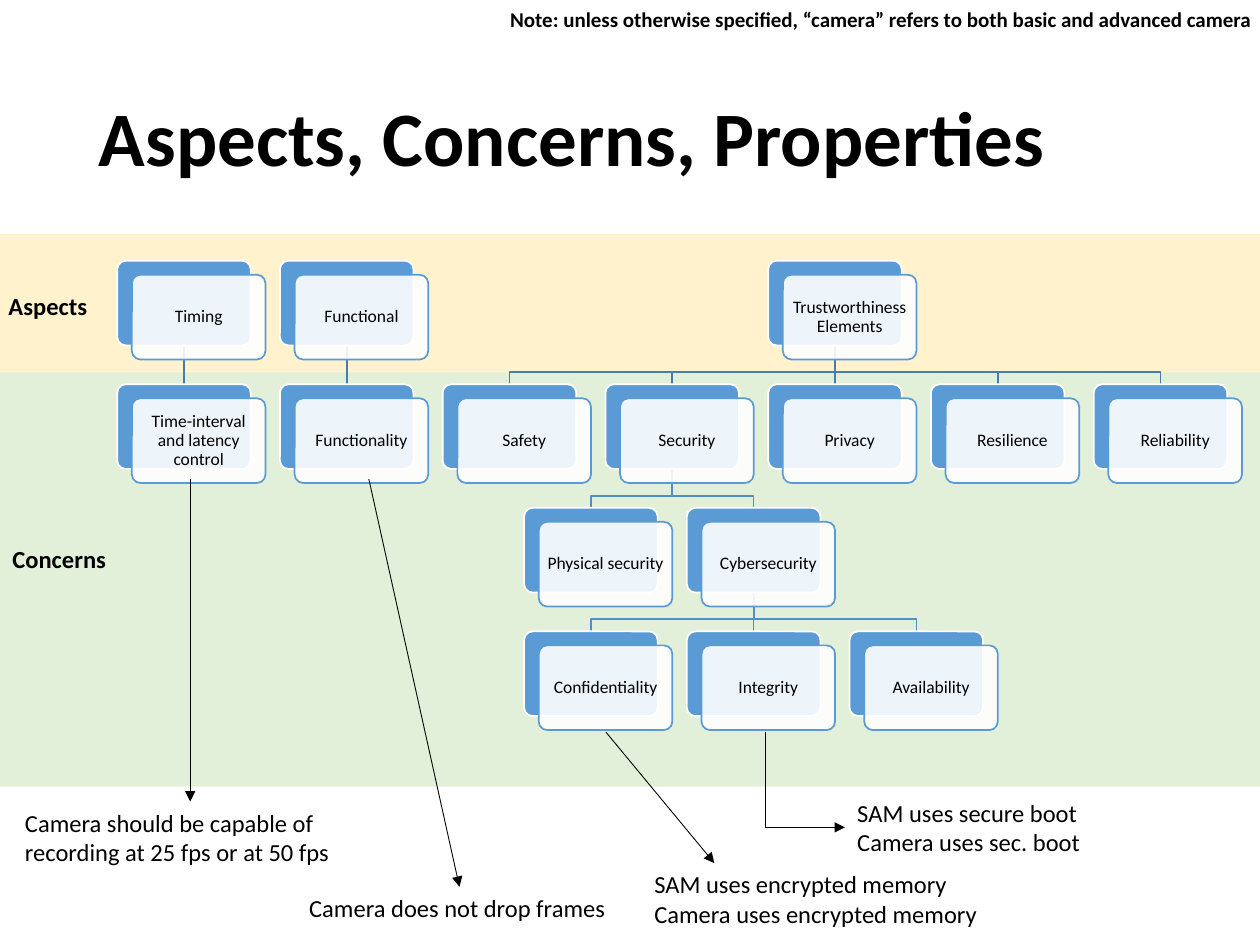
from dataclasses import dataclass

from lxml.etree import SubElement
from pptx import Presentation
from pptx.dml.color import RGBColor
from pptx.enum.shapes import MSO_CONNECTOR, MSO_SHAPE
from pptx.enum.text import MSO_ANCHOR, PP_ALIGN
from pptx.oxml.ns import qn
from pptx.util import Pt


@dataclass(frozen=True)
class Theme:
    font: str = "Calibri"
    text: str = "000000"
    white: str = "FFFFFF"
    accent: str = "5B9BD5"
    upper_link: str = "497CAB"
    lower_link: str = "538DC1"
    aspects: str = "FFF2CC"
    concerns: str = "E2F0D9"
    title_size: float = 44
    body_size: float = 14
    note_size: float = 12
    card_size: float = 10


THEME = Theme()

COLUMN_STEP, ROW_STEP = 93, 70.6
CARD_WIDTH, CARD_HEIGHT = 76.3, 48.4
CARD_SHIFT = (8.4, 8)
LINK_DROP = 15.3

CARDS = {
    "Timing": (0, 0, None),
    "Functional": (1, 0, None),
    "Trustworthiness Elements": (4, 0, None),
    "Time-interval and latency control": (0, 1, "Timing"),
    "Functionality": (1, 1, "Functional"),
    "Safety": (2, 1, "Trustworthiness Elements"),
    "Security": (3, 1, "Trustworthiness Elements"),
    "Privacy": (4, 1, "Trustworthiness Elements"),
    "Resilience": (5, 1, "Trustworthiness Elements"),
    "Reliability": (6, 1, "Trustworthiness Elements"),
    "Physical security": (2.5, 2, "Security"),
    "Cybersecurity": (3.5, 2, "Security"),
    "Confidentiality": (2.5, 3, "Cybersecurity"),
    "Integrity": (3.5, 3, "Cybersecurity"),
    "Availability": (4.5, 3, "Cybersecurity"),
}


def color(value):
    return RGBColor.from_string(value)


def write_lines(frame, lines, size, bold=False, align=PP_ALIGN.LEFT, spacing=None):
    for index, line in enumerate(lines):
        paragraph = frame.paragraphs[0] if index == 0 else frame.add_paragraph()
        paragraph.alignment = align
        if spacing:
            paragraph.line_spacing = spacing
        run = paragraph.add_run()
        run.text = line
        run.font.name = THEME.font
        run.font.size = Pt(size)
        run.font.bold = bold
        run.font.color.rgb = color(THEME.text)


def add_text(slide, box, lines, size, bold=False, wrap=True, spacing=None):
    frame = slide.shapes.add_textbox(*map(Pt, box)).text_frame
    frame.word_wrap = wrap
    write_lines(frame, lines, size, bold, spacing=spacing)
    return frame


def add_panel(slide, kind, box, fill, line=None):
    shape = slide.shapes.add_shape(kind, *map(Pt, box))
    shape.shadow.inherit = False
    shape.fill.solid()
    shape.fill.fore_color.rgb = color(fill)
    if line:
        shape.adjustments[0] = 0.1
        shape.line.color.rgb = color(line)
        shape.line.width = Pt(1)
    else:
        shape.line.fill.background()
    return shape


def add_line(slide, start, end, line, width, kind=MSO_CONNECTOR.STRAIGHT):
    connector = slide.shapes.add_connector(kind, *map(Pt, (*start, *end)))
    connector.line.color.rgb = color(line)
    connector.line.width = Pt(width)
    SubElement(connector._element.spPr, qn("a:effectLst"))
    return connector


def add_arrow(slide, start, end, kind=MSO_CONNECTOR.STRAIGHT):
    connector = add_line(slide, start, end, THEME.text, 0.5, kind)
    SubElement(connector.line._get_or_add_ln(), qn("a:tailEnd"), type="triangle")
    return connector


def add_corner_arrow(slide, start, end):
    connector = add_arrow(slide, start, end, MSO_CONNECTOR.ELBOW)
    width, height = end[0] - start[0], end[1] - start[1]
    connector.left = Pt(start[0] + (width - height) / 2)
    connector.top = Pt(start[1] + (height - width) / 2)
    connector.width, connector.height = Pt(height), Pt(width)
    properties = connector._element.spPr
    frame = properties.find(qn("a:xfrm"))
    frame.set("rot", str(270 * 60000))
    frame.set("flipH", "1")
    properties.find(qn("a:prstGeom")).set("prst", "bentConnector2")


def add_link(slide, start, end, line):
    if start[0] == end[0]:
        add_line(slide, start, end, line, 1)
        return
    bend = start[1] + LINK_DROP
    points = [(start[0], bend), (end[0], bend), end]
    builder = slide.shapes.build_freeform(Pt(start[0]), Pt(start[1]))
    builder.add_line_segments([(Pt(x), Pt(y)) for x, y in points], close=False)
    shape = builder.convert_to_shape()
    shape.shadow.inherit = False
    shape.fill.background()
    shape.line.color.rgb = color(line)
    shape.line.width = Pt(1)


def add_card(slide, left, top, label):
    size = (CARD_WIDTH, CARD_HEIGHT)
    add_panel(slide, MSO_SHAPE.ROUNDED_RECTANGLE, (left, top, *size), THEME.accent, THEME.white)
    front_box = (left + CARD_SHIFT[0], top + CARD_SHIFT[1], *size)
    front = add_panel(slide, MSO_SHAPE.ROUNDED_RECTANGLE, front_box, THEME.white, THEME.accent)
    fill = front._element.spPr.find(qn("a:solidFill"))
    SubElement(fill[0], qn("a:alpha"), val="90000")
    frame = front.text_frame
    frame.word_wrap = True
    frame.vertical_anchor = MSO_ANCHOR.MIDDLE
    frame.margin_left = frame.margin_right = Pt(2.9)
    frame.margin_top = frame.margin_bottom = Pt(2.9)
    write_lines(frame, [label], THEME.card_size, align=PP_ALIGN.CENTER, spacing=0.9)


def add_tree(slide, left, top):
    corners = {
        label: (left + column * COLUMN_STEP, top + row * ROW_STEP)
        for label, (column, row, _) in CARDS.items()
    }
    for label, (_, row, parent) in CARDS.items():
        if parent:
            parent_left, parent_top = corners[parent]
            child_left, child_top = corners[label]
            start = (parent_left + CARD_WIDTH / 2, parent_top + CARD_HEIGHT)
            end = (child_left + CARD_WIDTH / 2, child_top)
            add_link(slide, start, end, THEME.upper_link if row == 1 else THEME.lower_link)
    for label, corner in corners.items():
        add_card(slide, *corner, label)


def add_band(slide, box, fill, label, label_left, label_top, label_width):
    add_panel(slide, MSO_SHAPE.RECTANGLE, box, fill)
    label_box = (box[0] + label_left, box[1] + label_top, label_width, 24.2)
    add_text(slide, label_box, [label], THEME.body_size, bold=True, wrap=False)


def add_header(slide, left, top):
    title = add_text(slide, (left + 49.5, top + 28.8, 621, 104.4),
                     ["Aspects, Concerns, Properties"], THEME.title_size, bold=True, spacing=0.9)
    title.vertical_anchor = MSO_ANCHOR.MIDDLE
    add_text(slide, (left + 284.4, top, 440.6, 21.8),
             ["Note: unless otherwise specified, “camera” refers to both basic and advanced camera"],
             THEME.note_size, bold=True)


def add_examples(slide, left, top):
    examples = [
        ((7.2, 184.2, 203.8, 41.2), ["Camera should be capable of recording at 25 fps or at 50 fps"]),
        ((169.6, 233, 186, 24.2), ["Camera does not drop frames"]),
        ((366.8, 219.4, 203.8, 41.2), ["SAM uses encrypted memory", "Camera uses encrypted memory"]),
        ((482.8, 178.4, 247, 41.2), ["SAM uses secure boot", "Camera uses sec. boot"]),
    ]
    for (x, y, width, height), lines in examples:
        add_text(slide, (left + x, top + y, width, height), lines, THEME.body_size)
    arrows = [((108.7, 0), (108.7, 184.2)), ((210.8, 0), (262.6, 233)), ((346.3, 144.6), (408.2, 219.4))]
    for start, end in arrows:
        add_arrow(slide, (left + start[0], top + start[1]), (left + end[0], top + end[1]))
    add_corner_arrow(slide, (left + 437.2, top + 144.6), (left + 482.8, top + 199))


def main():
    presentation = Presentation()
    presentation.slide_width, presentation.slide_height = Pt(720), Pt(540)
    slide = presentation.slides.add_slide(presentation.slide_layouts[6])
    add_band(slide, (0, 212.6, 720, 236.9), THEME.concerns, "Concerns", 0, 95, 68.4)
    add_band(slide, (0, 133.8, 720, 79), THEME.aspects, "Aspects", -2.2, 29, 59.8)
    add_tree(slide, 67, 149)
    add_header(slide, 0, 0)
    add_examples(slide, 0, 273.8)
    presentation.save("out.pptx")


if __name__ == "__main__":
    main()
